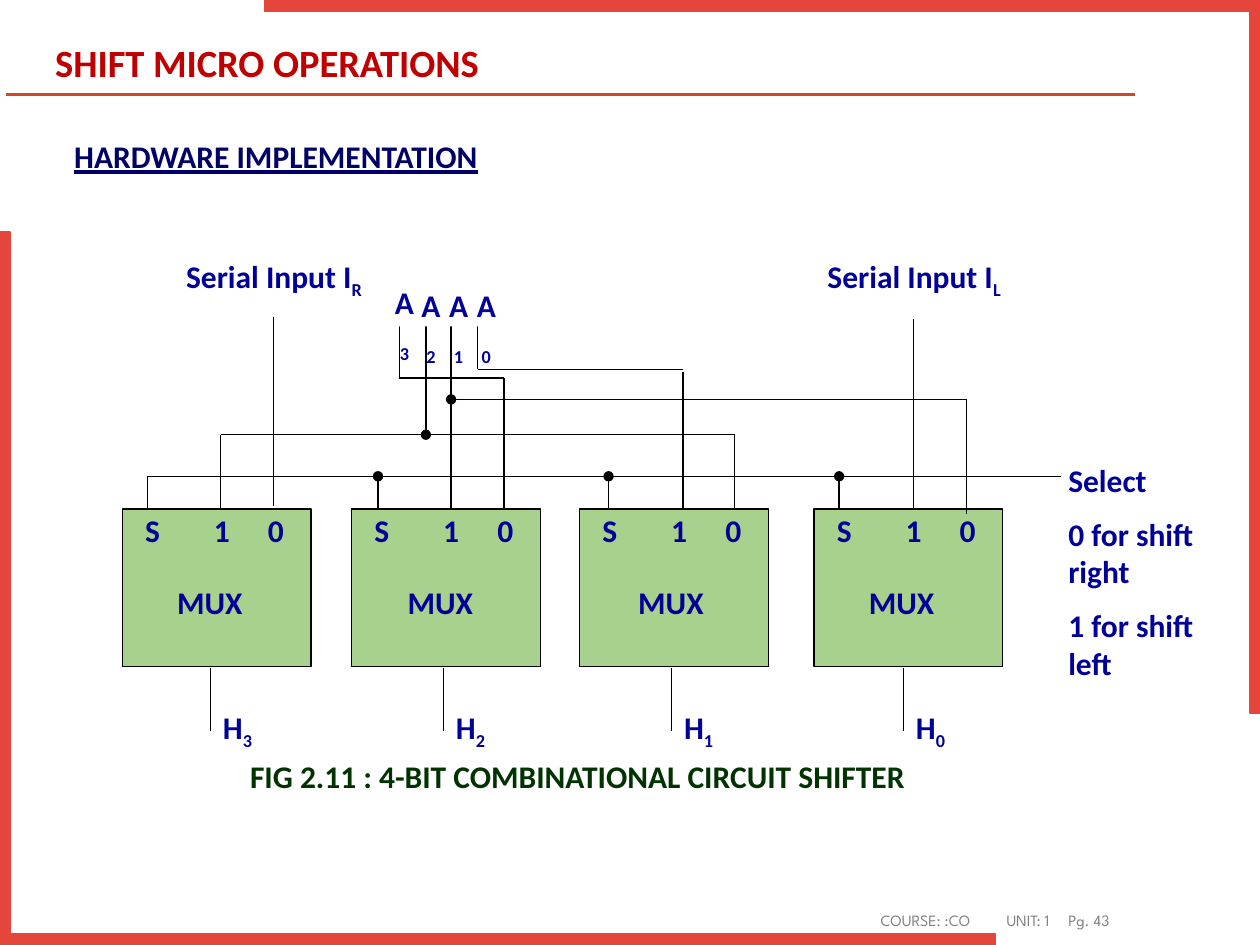
from dataclasses import dataclass
from typing import NamedTuple, Optional

import lxml.etree
import pptx
import pptx.dml.color
import pptx.enum.shapes
import pptx.enum.text
import pptx.oxml.ns
import pptx.slide
import pptx.util

Inches = pptx.util.Inches
Pt = pptx.util.Pt
qn = pptx.oxml.ns.qn
SHAPE = pptx.enum.shapes.MSO_SHAPE
ALIGN = pptx.enum.text.PP_ALIGN
ANCHOR = pptx.enum.text.MSO_ANCHOR


@dataclass(frozen=True)
class Theme:
    font: str = "Calibri"
    footer_font: str = "League Spartan"
    title_size: float = 22
    body_size: float = 18
    footer_size: float = 9
    wire_width: float = 0.75
    frame: str = "E4463B"
    rule: str = "D24726"
    title: str = "C00000"
    heading: str = "000066"
    label: str = "000099"
    caption: str = "003300"
    footer: str = "808080"
    mux: str = "A9D18E"
    black: str = "000000"
    white: str = "FFFFFF"


THEME = Theme()


class Box(NamedTuple):
    x: float
    y: float
    w: float
    h: float


class Wire(NamedTuple):
    x1: float
    y1: float
    x2: float
    y2: float
    junction: bool = False


class Label(NamedTuple):
    box: Box
    text: str
    sub: str = ""


class Mux(NamedTuple):
    left: float
    out: float
    bit: str


def rgb(color: str) -> pptx.dml.color.RGBColor:
    return pptx.dml.color.RGBColor.from_string(color)


def add_box(s: pptx.slide.Slide, shape: SHAPE, box: Box, fill: str,
            line: Optional[str] = None, width: float = THEME.wire_width):
    sp = s.shapes.add_shape(shape, *map(Inches, box))
    sp.shadow.inherit = False
    sp.fill.solid()
    sp.fill.fore_color.rgb = rgb(fill)
    if line:
        sp.line.color.rgb = rgb(line)
        sp.line.width = Pt(width)
    else:
        sp.line.fill.background()
    return sp


def add_wire(s: pptx.slide.Slide, wire: Wire, color: str = THEME.black,
             width: float = THEME.wire_width) -> None:
    cx = s.shapes.add_connector(pptx.enum.shapes.MSO_CONNECTOR.STRAIGHT,
                                *map(Inches, wire[:4]))
    cx.line.color.rgb = rgb(color)
    cx.line.width = Pt(width)
    if wire.junction:
        lxml.etree.SubElement(cx.line._get_or_add_ln(), qn("a:headEnd"), type="oval")
    lxml.etree.SubElement(cx._element.spPr, qn("a:effectLst"))


def add_frame(s: pptx.slide.Slide, box: Box):
    sp = add_box(s, SHAPE.CORNER, box, THEME.frame, THEME.frame, 1)
    sp.adjustments[0], sp.adjustments[1] = 0.016, 0.014
    return sp


def add_run(p, text: str, color: str, size: float = THEME.body_size,
            font: str = THEME.font, bold: bool = True):
    r = p.add_run()
    r.text = text
    r.font.name = font
    r.font.size = Pt(size)
    r.font.bold = bold
    r.font.color.rgb = rgb(color)
    return r


def add_text_frame(s: pptx.slide.Slide, box: Box):
    tf = s.shapes.add_textbox(*map(Inches, box)).text_frame
    tf.word_wrap = True
    return tf


def add_label(s: pptx.slide.Slide, label: Label, color: str = THEME.label) -> None:
    p = add_text_frame(s, label.box).paragraphs[0]
    p.alignment = ALIGN.CENTER
    add_run(p, label.text, color)
    if label.sub:
        r = add_run(p, label.sub, color)
        r._r.get_or_add_rPr().set("baseline", "-25000")


def add_page_furniture(s: pptx.slide.Slide) -> None:
    add_wire(s, Wire(0.05, 0.75, 9.01, 0.75), THEME.rule, 2)
    add_frame(s, Box(2.1, 0, 7.9, 5.66)).rotation = 180
    add_frame(s, Box(0, 1.84, 7.9, 5.66))

    p = add_text_frame(s, Box(6.89, 7.18, 2.5, 0.22)).paragraphs[0]
    tabs = lxml.etree.SubElement(p._p.get_or_add_pPr(), qn("a:tabLst"))
    for stop in (1.0, 1.49):
        lxml.etree.SubElement(tabs, qn("a:tab"), pos=str(Inches(stop)), algn="l")
    add_run(p, "COURSE: :CO\tUNIT: 1\tPg. 43", THEME.footer,
            THEME.footer_size, THEME.footer_font, False)

    tf = add_text_frame(s, Box(0.34, 0.24, 7.56, 0.56))
    tf.vertical_anchor = ANCHOR.MIDDLE
    tf.paragraphs[0].line_spacing = 0.9
    add_run(tf.paragraphs[0], "SHIFT MICRO OPERATIONS", THEME.title, THEME.title_size)

    tf = add_text_frame(s, Box(0.49, 1.09, 4.01, 1.17))
    tf.word_wrap = False
    tf.paragraphs[0].line_spacing = Pt(18)
    add_run(tf.paragraphs[0], "HARDWARE IMPLEMENTATION", THEME.heading).font.underline = True


def add_mux(s: pptx.slide.Slide, mux: Mux, name_left: float) -> None:
    add_box(s, SHAPE.RECTANGLE, Box(mux.left, 4.04, 1.5, 1.25), THEME.mux, THEME.black)
    for pin, dx in (("S", -0.05), ("1", 0.5), ("0", 0.93)):
        add_label(s, Label(Box(mux.left + dx, 4.01, 0.58, 0.4), pin))
    add_label(s, Label(Box(name_left, 4.58, 0.83, 0.4), "MUX"))
    add_wire(s, Wire(mux.out, 5.3, mux.out, 5.8))
    add_label(s, Label(Box(mux.out - 0.12, 5.57, 0.67, 0.4), "H", mux.bit))


def main() -> None:
    prs = pptx.Presentation()
    prs.slide_width, prs.slide_height = Inches(10), Inches(7.5)
    s = prs.slides.add_slide(prs.slide_layouts[6])
    add_page_furniture(s)

    pitch = 1.83
    muxes = [Mux(0.97, 1.67, "3"), Mux(2.79, 3.52, "2"),
             Mux(4.6, 5.33, "1"), Mux(6.46, 7.17, "0")]
    for i, mux in enumerate(muxes):
        add_mux(s, mux, 1.25 + i * pitch)

    select_y, pin_y = 3.78, 4.03
    wires = [Wire(1.17 + i * pitch, select_y, 1.17 + i * pitch, pin_y, i > 0)
             for i in range(len(muxes))]
    wires += [
        Wire(1.17, select_y, 8.42, select_y),
        Wire(2.17, 4.02, 2.17, 2.52),
        Wire(7.25, pin_y, 7.25, 2.53),
        Wire(3.17, 2.5, 3.17, 3),
        Wire(3.17, 3, 4, 3),
        Wire(4, 3, 4, pin_y),
        Wire(3.38, 3.45, 3.38, 2.45, True),
        Wire(1.75, 3.45, 5.83, 3.45),
        Wire(1.75, 3.45, 1.75, pin_y),
        Wire(5.83, 3.45, 5.83, 4.05),
        Wire(3.58, 2.53, 3.58, pin_y),
        Wire(3.58, 3.17, 7.67, 3.17, True),
        Wire(7.67, 3.17, 7.67, 4.08),
        Wire(3.79, 2.52, 3.79, 2.93),
        Wire(3.79, 2.93, 5.42, 2.93),
        Wire(5.42, 2.95, 5.42, pin_y),
    ]
    for wire in wires:
        add_wire(s, wire)

    add_box(s, SHAPE.RECTANGLE, Box(3.08, 2.42, 0.75, 0.17), THEME.white)
    for x, y, bit in ((3, 2.2, "3"), (3.21, 2.22, "2"), (3.43, 2.22, "1"), (3.65, 2.22, "0")):
        add_label(s, Label(Box(x, y, 0.42, 0.71), "A", bit))
    for x, side in ((1.34, "R"), (6.42, "L")):
        add_label(s, Label(Box(x, 1.99, 1.67, 0.4), "Serial Input I", side))

    tf = add_text_frame(s, Box(8.38, 3.61, 1.58, 1.92))
    for i, text in enumerate(("Select", "0 for shift right", "1 for shift left")):
        p = tf.add_paragraph() if i else tf.paragraphs[0]
        p.space_before = Pt(9 if i else 0)
        add_run(p, text, THEME.label)

    caption = "FIG 2.11 : 4-BIT COMBINATIONAL CIRCUIT SHIFTER"
    add_label(s, Label(Box(1.5, 5.96, 6.17, 0.4), caption), THEME.caption)
    prs.save("out.pptx")


if __name__ == "__main__":
    main()
